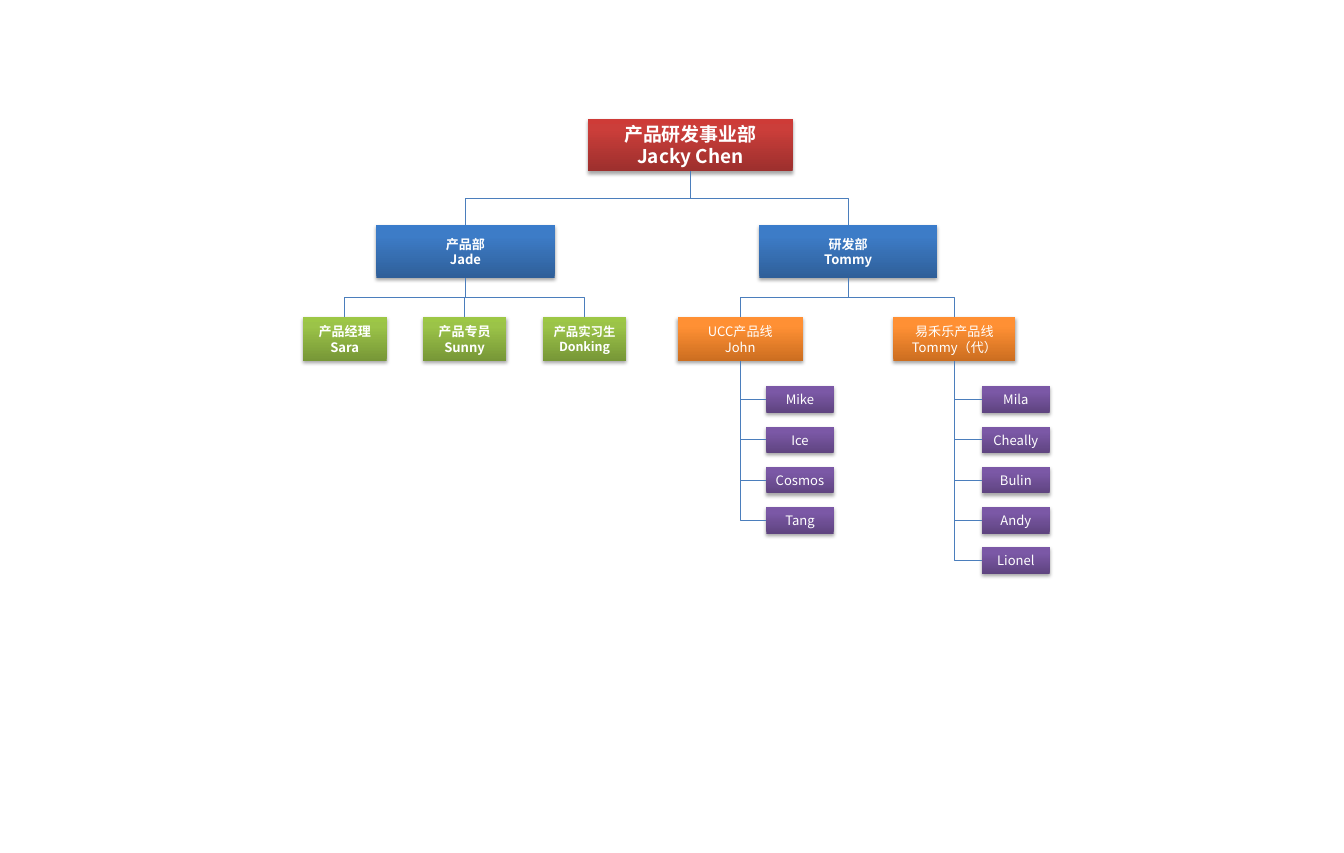
from lxml.etree import SubElement
from pptx import Presentation
from pptx.dml.color import RGBColor
from pptx.enum.shapes import MSO_CONNECTOR, MSO_SHAPE
from pptx.enum.text import MSO_ANCHOR, PP_ALIGN
from pptx.oxml.ns import qn
from pptx.util import Inches, Pt

FONT = "Noto Sans CJK SC"
COLORS = {
    "red": ("9C2F2D", "CB3E3A", "CE3B37"),
    "blue": ("2F5F99", "3D7CC7", "3A7CCB"),
    "green": ("779737", "9BC348", "9DC746"),
    "orange": ("CC6E20", "FF9034", "FF9136"),
    "purple": ("5F4480", "7B58A6", "7C57A8"),
    "line": "4B7EBC",
    "text": "FFFFFF",
    "shadow": "000000",
}

deck = Presentation()
deck.slide_width, deck.slide_height = Inches(15.75), Inches(10)
slide = deck.slides.add_slide(deck.slide_layouts[6])


def add_box(text, left, top, width, height, color, size=11, bold=False):
    box = slide.shapes.add_shape(
        MSO_SHAPE.RECTANGLE, Inches(left), Inches(top), Inches(width), Inches(height))
    props = box._element.spPr
    grad = SubElement(props, qn("a:gradFill"), rotWithShape="1")
    stops = SubElement(grad, qn("a:gsLst"))
    for pos, tone in zip((0, 80, 100), COLORS[color]):
        stop = SubElement(stops, qn("a:gs"), pos=str(pos * 1000))
        SubElement(stop, qn("a:srgbClr"), val=tone)
    SubElement(grad, qn("a:lin"), ang="16200000", scaled="0")
    box.line.fill.background()
    box.shadow.inherit = False
    shade = SubElement(
        props.find(qn("a:effectLst")), qn("a:outerShdw"), blurRad=str(Pt(3.1)),
        dist=str(Pt(1.8)), dir="5400000", rotWithShape="0")
    tint = SubElement(shade, qn("a:srgbClr"), val=COLORS["shadow"])
    SubElement(tint, qn("a:alpha"), val="35000")

    frame = box.text_frame
    frame.word_wrap = False
    frame.vertical_anchor = MSO_ANCHOR.MIDDLE
    frame.text = text
    for para in frame.paragraphs:
        para.alignment = PP_ALIGN.CENTER
        para.font.size = Pt(size)
        para.font.bold = bold
        para.font.name = FONT
        para.font.color.rgb = RGBColor.from_string(COLORS["text"])
        SubElement(para._p.pPr.find(qn("a:defRPr")), qn("a:ea"), typeface=FONT)
    return box


def add_link(boss, child, side=False):
    x1, y1 = boss.left + boss.width // 2, boss.top + boss.height
    x2, y2 = child.left + child.width // 2, child.top
    if side:
        x2, y2 = child.left, child.top + child.height // 2
    link = slide.shapes.add_connector(MSO_CONNECTOR.ELBOW, x1, y1, x2, y2)
    link.begin_connect(boss, 2)
    link.end_connect(child, 1 if side else 0)
    wide, high = abs(x2 - x1), y2 - y1
    link.left, link.top = (x1 + x2 - high) // 2, (y1 + y2 - wide) // 2
    link.width, link.height = high, wide
    props = link._element.spPr
    right = x2 > x1
    props.xfrm.rot = 270 if right else 90
    props.xfrm.flipH, props.xfrm.flipV = right, False
    if side:
        props.find(qn("a:prstGeom")).set("prst", "bentConnector2")
    link.line.color.rgb = RGBColor.from_string(COLORS["line"])
    link.line.width = Pt(0.75)
    SubElement(props, qn("a:effectLst"))


head = add_box("产品研发事业部\nJacky Chen", 6.89, 1.39, 2.4, 0.62, "red", 16, True)
product = add_box("产品部\nJade", 4.41, 2.64, 2.09, 0.62, "blue", bold=True)
research = add_box("研发部\nTommy", 8.9, 2.64, 2.08, 0.62, "blue", bold=True)
for unit in (product, research):
    add_link(head, unit)

staff = [("产品经理\nSara", 11), ("产品专员\nSunny", 11), ("产品实习生\nDonking", 10.5)]
for col, (text, size) in enumerate(staff):
    box = add_box(text, 3.55 + 1.405 * col, 3.72, 0.98, 0.51, "green", size, True)
    add_link(product, box)

teams = [
    ("UCC产品线\nJohn", 7.94, 1.47, 8.98, ["Mike", "Ice", "Cosmos", "Tang"]),
    ("易禾乐产品线\nTommy（代）", 10.47, 1.43, 11.51,
     ["Mila", "Cheally", "Bulin", "Andy", "Lionel"]),
]
for text, left, width, inset, names in teams:
    team = add_box(text, left, 3.72, width, 0.51, "orange")
    add_link(research, team)
    for row, name in enumerate(names):
        box = add_box(name, inset, 4.53 + 0.472 * row, 0.79, 0.31, "purple")
        add_link(team, box, side=True)

deck.save("out.pptx")
